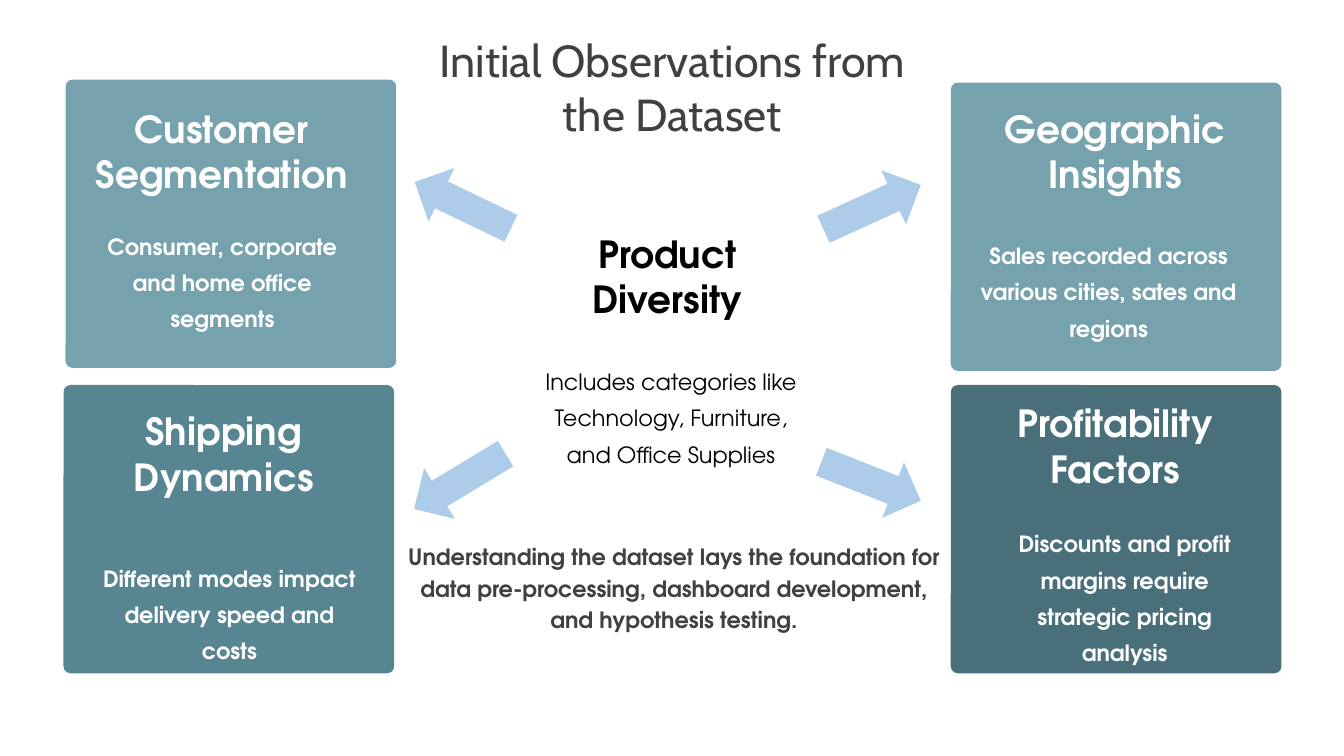
import pptx
import pptx.util
import pptx.dml.color
import pptx.enum.shapes
import pptx.enum.text
from lxml import etree

RGBColor = pptx.dml.color.RGBColor
Inches = pptx.util.Inches
WHITE = RGBColor(0xFF, 0xFF, 0xFF)
BLACK = RGBColor(0, 0, 0)
CHARCOAL = RGBColor(0x40, 0x40, 0x40)
MIST = RGBColor(0x76, 0xA2, 0xAD)
TEAL = RGBColor(0x57, 0x86, 0x92)
DEEP = RGBColor(0x49, 0x70, 0x7A)
BLUE = RGBColor(0x5B, 0x9B, 0xD5)

BODY_FONT = "TeX Gyre Adventor"
CARD_W, CARD_H, CARD_RADIUS = 3.28, 2.86, 0.07
HEAD_W, HEAD_H = 2.76, 0.92
BODY_W, BODY_H = 2.59, 1.09
ARROW_W, ARROW_H = 1.06, 0.59

TITLE = "Initial Observations from the Dataset"
SUMMARY = ("Understanding the dataset lays the foundation for data pre-processing, "
           "dashboard development, and hypothesis testing.")
CARDS = [
    {"at": (0.65, 0.79), "fill": MIST, "head": ["Customer Segmentation"], "head_at": (0.82, 1.04),
     "body": "Consumer, corporate and home office segments", "body_at": (0.91, 2.22)},
    {"at": (9.43, 0.82), "fill": MIST, "head": ["Geographic", "Insights"], "head_at": (9.68, 1.04),
     "body": "Sales recorded across various cities, sates and regions", "body_at": (9.7, 2.31)},
    {"at": (0.63, 3.82), "fill": TEAL, "head": ["Shipping", "Dynamics"], "head_at": (0.84, 4.04),
     "body": "Different modes impact delivery speed and costs", "body_at": (0.98, 5.51)},
    {"at": (9.43, 3.82), "fill": DEEP, "head": ["Profitability", "Factors"], "head_at": (9.68, 3.96),
     "body": "Discounts and profit margins require strategic pricing analysis", "body_at": (9.86, 5.17)},
]
CENTRE = {"head": ["Product Diversity"], "head_at": (5.24, 2.28),
          "body": "Includes categories like Technology, Furniture, and Office Supplies",
          "body_at": (5.36, 3.56)}
ARROWS = [(4.06, 1.74, 205.7), (8.12, 1.76, 335.5), (4.03, 4.48, 148.8), (8.11, 4.48, 21.5)]


def add_text(page, lines, at, size, points, spacing, color, bold=False, font=BODY_FONT):
    box = page.shapes.add_textbox(*map(Inches, at + size))
    frame = box.text_frame
    frame.word_wrap = True
    frame.margin_left = frame.margin_right = frame.margin_top = frame.margin_bottom = 0
    for index, line in enumerate(lines):
        para = frame.add_paragraph() if index else frame.paragraphs[0]
        para.alignment = pptx.enum.text.PP_ALIGN.CENTER
        para.line_spacing = spacing
        span = para.add_run()
        span.text = line
        span.font.name = font
        span.font.size = pptx.util.Pt(points)
        span.font.bold = bold
        span.font.color.rgb = color


def add_plain_shape(page, kind, at, size, color):
    shape = page.shapes.add_shape(kind, *map(Inches, at + size))
    shape.shadow.inherit = False
    shape.fill.solid()
    shape.fill.fore_color.rgb = color
    shape.line.fill.background()
    return shape


def add_topic(page, topic, color, bold_body):
    add_text(page, topic["head"], topic["head_at"], (HEAD_W, HEAD_H), 26.7, 1.02, color, True)
    add_text(page, [topic["body"]], topic["body_at"], (BODY_W, BODY_H), 16, 1.35, color, bold_body)


def add_card(page, card):
    kind = pptx.enum.shapes.MSO_SHAPE.ROUNDED_RECTANGLE
    panel = add_plain_shape(page, kind, card["at"], (CARD_W, CARD_H), card["fill"])
    panel.adjustments[0] = CARD_RADIUS / CARD_H
    add_topic(page, card, WHITE, True)


def add_arrow(page, left, top, angle):
    kind = pptx.enum.shapes.MSO_SHAPE.RIGHT_ARROW
    arrow = add_plain_shape(page, kind, (left, top), (ARROW_W, ARROW_H), BLUE)
    arrow.rotation = angle
    tint = arrow.fill._xPr.find(".//" + pptx.oxml.ns.qn("a:srgbClr"))
    etree.SubElement(tint, pptx.oxml.ns.qn("a:alpha"), val="50000")


def main():
    deck = pptx.Presentation()
    deck.slide_width, deck.slide_height = Inches(13.33), Inches(7.5)
    page = deck.slides.add_slide(deck.slide_layouts[6])
    add_text(page, [TITLE], (4.19, 0.31), (4.96, 1.1), 32, 1.02, CHARCOAL, font="Cabin")
    add_text(page, [SUMMARY], (4.01, 5.35), (5.35, 1), 16, 1.16, CHARCOAL, True)
    add_topic(page, CENTRE, BLACK, False)
    for card in CARDS:
        add_card(page, card)
    for arrow in ARROWS:
        add_arrow(page, *arrow)
    deck.save("out.pptx")


if __name__ == "__main__":
    main()
